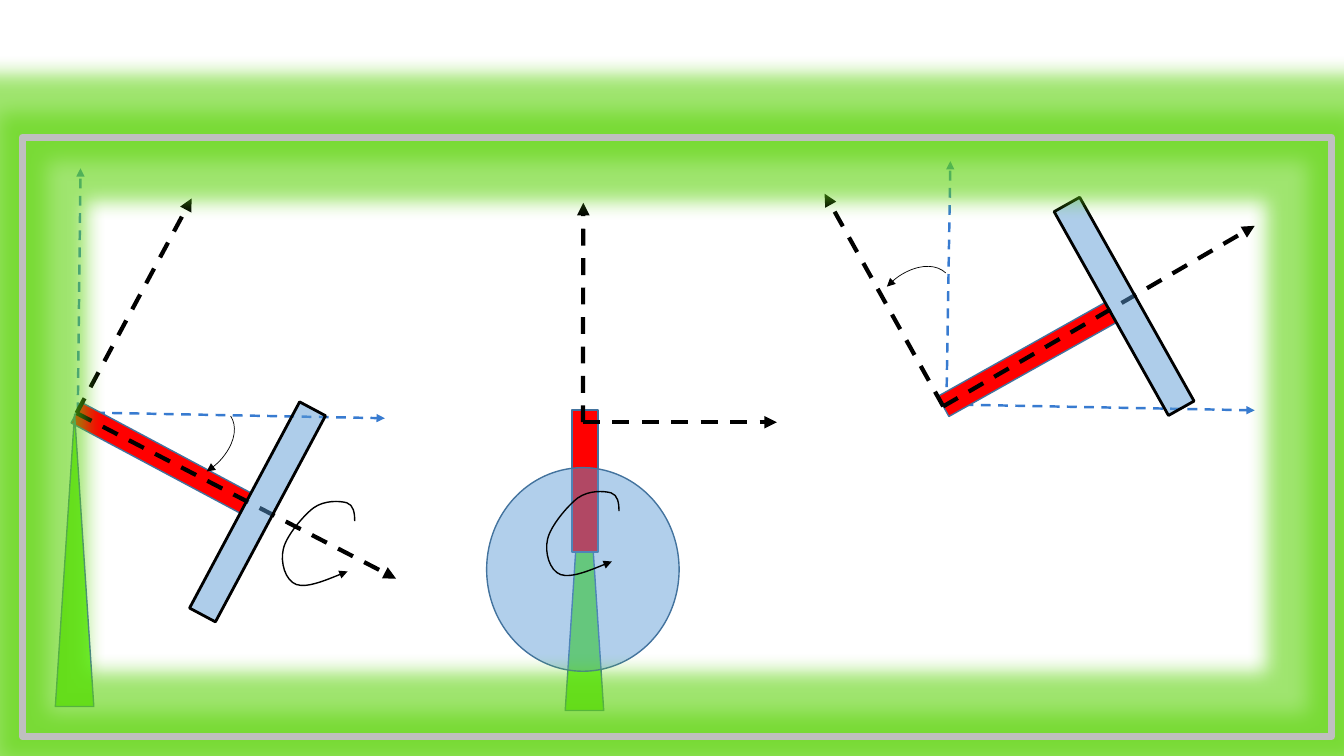
from pptx import Presentation, util as u
from pptx.dml.color import RGBColor
from pptx.enum import dml, shapes
from pptx.oxml import parse_xml
from pptx.oxml.ns import nsdecls, qn

# Content: lengths in cm, each part placed by its centre, angles in degrees
RED, GREEN, BLUE = "FF0000", "6FEF30", "5B9BD5"
EDGE, REFERENCE, BLACK, GREY, GLOW = "43739E", "387BD0", "000000", "BFBFBF", "60D410"
TOWER, ROD, SHORT_ROD = (0.97, 7.37), (4.83, 0.58), (3.58, 0.66)
DISC, WHEEL, ARC = (0.74, 5.89), (4.85, 5.13), (1.68, 2.54)

TILTED_VIEWS = [
    dict(angle=28.1, reference=[(1.96, 10.39), (9.70, 10.54), (2.03, 4.24)],
         body=[(1.93, 10.41), (9.98, 14.58), (4.83, 5.00)],
         rod=(4.06, 11.54), disc=(6.49, 12.90),
         arc=(4.75, 11.18), arc_angle=56.8, flip=False),
    dict(angle=330.7, reference=[(23.85, 10.19), (31.62, 10.34), (23.95, 4.06)],
         body=[(23.77, 10.24), (31.62, 5.69), (20.78, 4.88)],
         rod=(25.88, 9.06), disc=(28.33, 7.72),
         arc=(22.96, 7.80), arc_angle=223.4, flip=True),
]
FRONT_AXES = [(14.69, 10.64), (14.70, 5.11), (19.58, 10.64)]
SPIN_STARTS = [(15.60, 12.88), (8.94, 13.13)]
# Bezier points of the spin arrow, relative to its start, three per curve
SPIN_CURVE = [
    (0, -0.2), (-0.03, -0.41), (-0.2, -0.46),
    (-0.38, -0.51), (-0.76, -0.53), (-1.04, -0.33),
    (-1.3, -0.13), (-1.73, 0.38), (-1.8, 0.71),
    (-1.88, 1.04), (-1.75, 1.5), (-1.47, 1.6),
    (-1.19, 1.7), (-0.18, 1.27), (-0.18, 1.27),
]

deck = Presentation()
deck.slide_width, deck.slide_height = u.Cm(33.87), u.Cm(19.05)
page = deck.slides.add_slide(deck.slide_layouts[6])


def element(tag, **attributes):
    node = parse_xml(f"<a:{tag} {nsdecls('a')}/>")
    for name, value in attributes.items():
        node.set(name, str(value))
    return node


def color(hex_value):
    return RGBColor.from_string(hex_value)


def style(item, fill=None, opacity=None, line=EDGE, width=1.0, arrow=False):
    """Format the fill, outline and shadow of a shape."""
    item.shadow.inherit = False
    if fill:
        item.fill.solid()
        item.fill.fore_color.rgb = color(fill)
    else:
        item.fill.background()
    if opacity:
        tone = item.fill._xPr.find(qn("a:solidFill"))[0]
        tone.append(element("alpha", val=opacity * 1000))
    outline(item, line, width, arrow)
    return item


def outline(item, line, width, arrow):
    item.line.color.rgb = color(line)
    item.line.width = u.Pt(width)
    if arrow:
        item.line._get_or_add_ln().append(element("tailEnd", type="triangle"))


def part(kind, center, size, angle=0, **look):
    """Add a preset shape around its centre."""
    (x, y), (width, height) = center, size
    item = page.shapes.add_shape(kind, u.Cm(x - width / 2), u.Cm(y - height / 2),
                                 u.Cm(width), u.Cm(height))
    item.rotation = angle
    return style(item, **look)


def axes(points, line, width):
    """Draw dashed arrows from the first point to each of the others."""
    origin, *tips = points
    for tip in tips:
        arrow = page.shapes.add_connector(shapes.MSO_CONNECTOR.STRAIGHT,
                                          *map(u.Cm, origin + tip))
        arrow.line.dash_style = dml.MSO_LINE.DASH
        outline(arrow, line, width, True)
        arrow._element.spPr.append(element("effectLst"))


def spin_arrow(start):
    """Draw the open curved arrow that shows rotation."""
    x, y = start
    builder = page.shapes.build_freeform(u.Cm(x), u.Cm(y))
    builder.add_line_segments([(u.Cm(x + dx), u.Cm(y + dy)) for dx, dy in SPIN_CURVE],
                              close=False)
    item = style(builder.convert_to_shape(), line=BLACK, arrow=True)
    # Turn each three straight segments into one Bezier curve
    segments = list(item._element.iter(qn("a:lnTo")))
    route = segments[0].getparent()
    for first in range(0, len(segments), 3):
        curve = element("cubicBezTo")
        route.append(curve)
        for segment in segments[first:first + 3]:
            curve.append(segment[0])
            route.remove(segment)


preset = shapes.MSO_SHAPE

# Side views: reference axes, rod, body axes, disc and tilt arc
for view in TILTED_VIEWS:
    axes(view["reference"], REFERENCE, 1.75)
    part(preset.RECTANGLE, view["rod"], ROD, view["angle"], fill=RED)
    axes(view["body"], BLACK, 3)
    part(preset.RECTANGLE, view["disc"], DISC, view["angle"],
         fill=BLUE, opacity=49, line=BLACK, width=2)
    arc = part(preset.ARC, view["arc"], ARC, view["arc_angle"],
               line=BLACK, width=0.5, arrow=True)
    if view["flip"]:
        arc._element.spPr.xfrm.set("flipV", "1")

# Towers, then the front view on the second one
for center in [(1.88, 14.12), (14.73, 14.22)]:
    part(preset.ISOSCELES_TRIANGLE, center, TOWER, fill=GREEN)
part(preset.RECTANGLE, (14.74, 12.12), SHORT_ROD, 90, fill=RED)
part(preset.OVAL, (14.69, 14.35), WHEEL, fill=BLUE, opacity=47)
axes(FRONT_AXES, BLACK, 3)
for start in SPIN_STARTS:
    spin_arrow(start)

# Glowing frame
frame = part(preset.RECTANGLE, (17.06, 11.01), (32.99, 15.11), line=GREY, width=5)
glow = element("glow", rad=u.Cm(1))
tone = element("srgbClr", val=GLOW)
tone.append(element("alpha", val=60000))
glow.append(tone)
frame._element.spPr.find(qn("a:effectLst")).append(glow)

deck.save("out.pptx")
